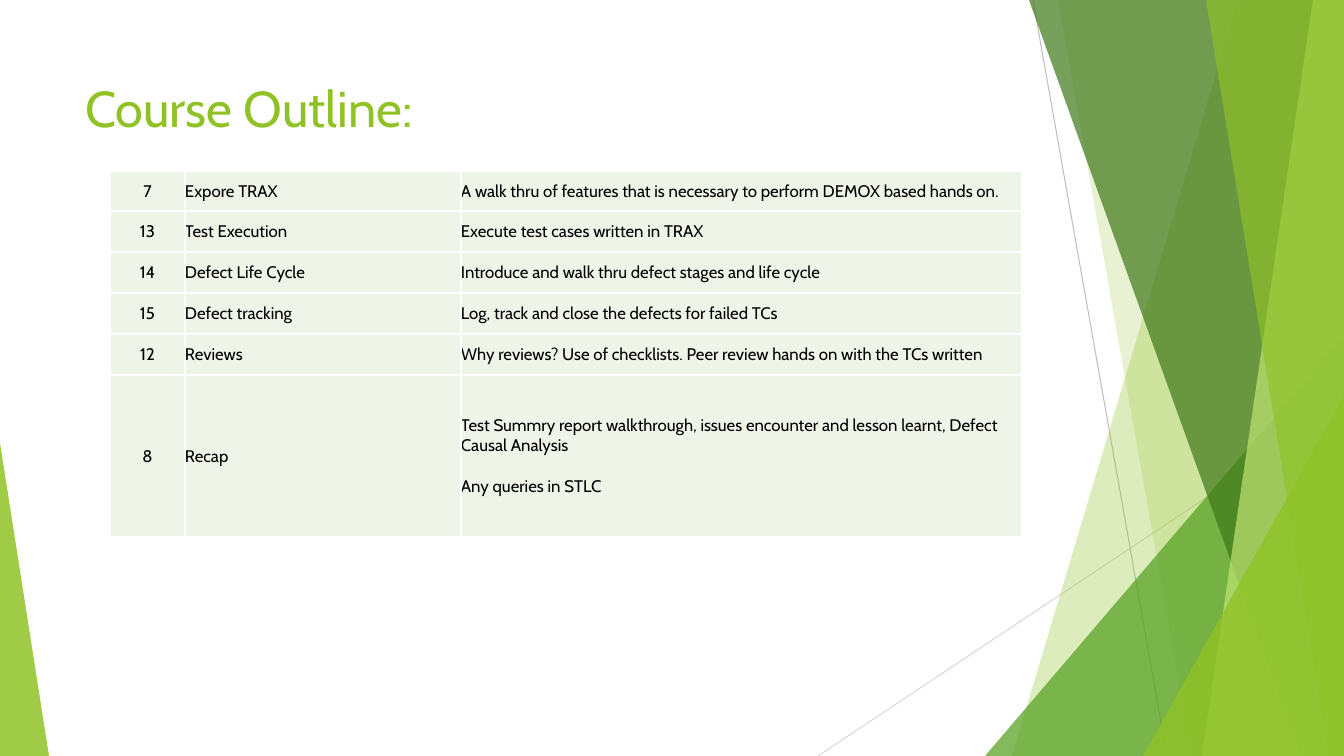
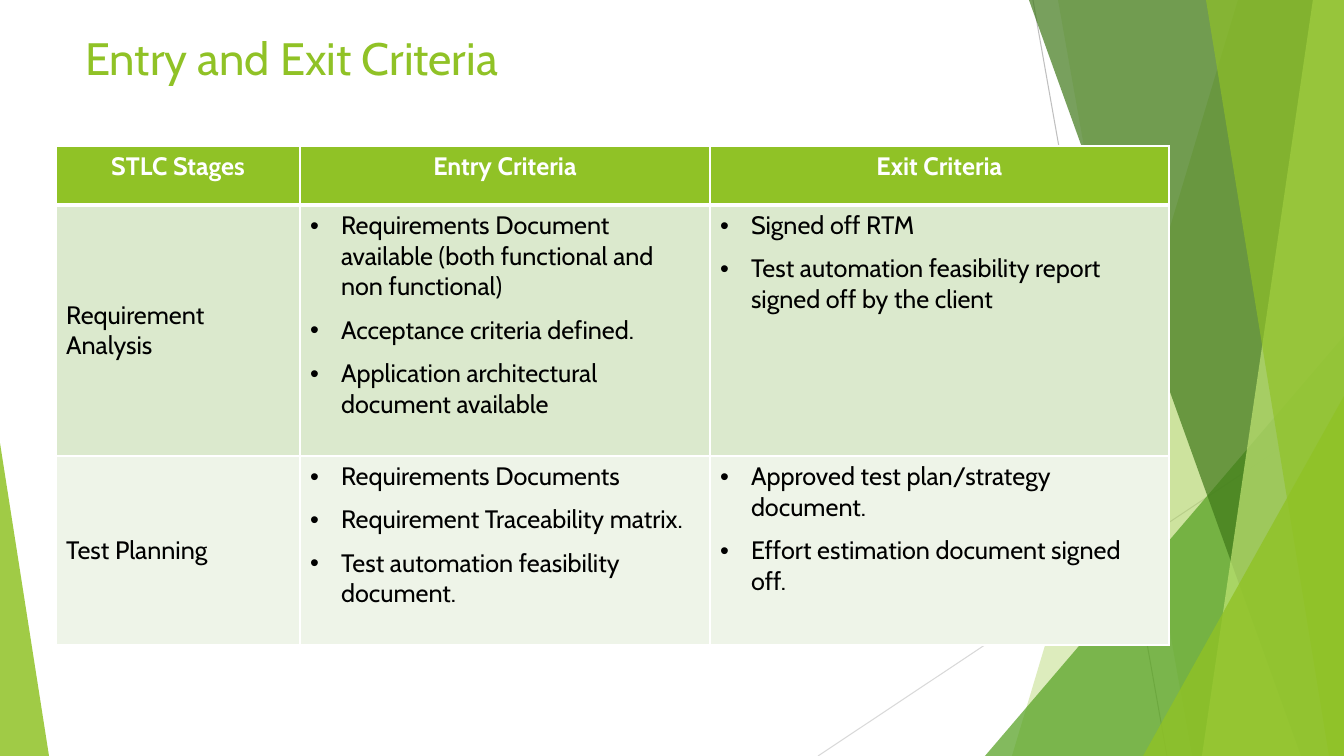
from lxml import etree
from pptx import Presentation
from pptx.dml.color import RGBColor
from pptx.enum.shapes import MSO_CONNECTOR, MSO_SHAPE
from pptx.enum.text import MSO_ANCHOR, MSO_AUTO_SIZE, PP_ALIGN
from pptx.oxml.ns import qn
from pptx.util import Pt

STRAIGHT = MSO_CONNECTOR.STRAIGHT
TRIANGLE = MSO_SHAPE.ISOSCELES_TRIANGLE
LEFT, CENTER = PP_ALIGN.LEFT, PP_ALIGN.CENTER
TOP, MIDDLE = MSO_ANCHOR.TOP, MSO_ANCHOR.MIDDLE

PAGE_WIDTH, PAGE_HEIGHT = 1344, 756
SCALE = 12192000 / PAGE_WIDTH
FONT = "Cabin"
GREEN, MID_GREEN, DARK_GREEN, LIME = "90C226", "54A021", "3F7819", "C0E474"
BAND, PALE, WHITE, BLACK = "DBE9CD", "EEF4E8", "FFFFFF", "000000"
BULLET_INDENT = 31

OUTLINE_ROWS = [
    ("7", "Expore TRAX",
     ["A walk thru of features that is necessary to perform DEMOX based hands on."]),
    ("13", "Test Execution", ["Execute test cases written in TRAX"]),
    ("14", "Defect Life Cycle", ["Introduce and walk thru defect stages and life cycle"]),
    ("15", "Defect tracking", ["Log, track and close the defects for failed TCs"]),
    ("12", "Reviews",
     ["Why reviews? Use of checklists. Peer review hands on with the TCs written"]),
    ("8", "Recap",
     ["Test Summry report walkthrough, issues encounter and lesson learnt, "
      "Defect Causal Analysis",
      "Any queries in STLC"]),
]
CRITERIA_HEADER = ["STLC Stages", "Entry Criteria", "Exit Criteria"]
CRITERIA_ROWS = [
    ("Requirement Analysis",
     ["Requirements Document available (both functional and non functional)",
      "Acceptance criteria defined.",
      "Application architectural document available"],
     ["Signed off RTM",
      "Test automation feasibility report signed off by the client"]),
    ("Test Planning",
     ["Requirements Documents",
      "Requirement Traceability matrix.",
      "Test automation feasibility document."],
     ["Approved test plan/strategy document.",
      "Effort estimation document signed off."]),
]


def px(length):
    return round(length * SCALE)


def color(hex_text):
    return RGBColor.from_string(hex_text)


def add_span(para, text, size, ink, bold=False):
    span = para.add_run()
    span.text = text
    span.font.name = FONT
    span.font.size = Pt(size)
    span.font.bold = bold
    span.font.color.rgb = color(ink)


# Backdrop: defined once, kept on the layout
def paint(shape, ink, opacity):
    shape.shadow.inherit = False
    shape.line.fill.background()
    shape.fill.solid()
    shape.fill.fore_color.rgb = color(ink)
    tint = shape.element.spPr.find(".//" + qn("a:srgbClr"))
    etree.SubElement(tint, qn("a:alpha"), val=str(opacity * 1000))
    return shape


def add_thin_line(page, start, end, ink):
    line = page.shapes.add_connector(STRAIGHT, *map(px, start + end))
    line.line.color.rgb = color(ink)
    line.line.width = Pt(0.75)
    etree.SubElement(line.element.spPr, qn("a:effectLst"))
    return line


def add_blade(page, top_x, bottom_x, ink, opacity):
    """Slanted left edge; the other edges follow the page."""
    builder = page.shapes.build_freeform(top_x, 0, scale=SCALE)
    builder.add_line_segments([(PAGE_WIDTH, 0), (PAGE_WIDTH, PAGE_HEIGHT),
                               (bottom_x, PAGE_HEIGHT)])
    return paint(builder.convert_to_shape(), ink, opacity)


def add_corner(page, left, top, width, apex, ink, opacity):
    """Triangle standing on the bottom edge of the page."""
    corner = page.shapes.add_shape(
        TRIANGLE, px(left), px(top), px(width), px(PAGE_HEIGHT - top))
    corner.adjustments[0] = apex
    return paint(corner, ink, opacity)


def move_backdrop_to_layout(page, layout):
    parts = [
        add_thin_line(page, (1033, 0), (1167, PAGE_HEIGHT), "BFBFBF"),
        add_thin_line(page, (PAGE_WIDTH, 406), (818, PAGE_HEIGHT), "D9D9D9"),
        add_blade(page, 1238, 1012, GREEN, 30),
        add_blade(page, 1058, 1192, GREEN, 20),
        add_corner(page, 985, 336, 359, 1, MID_GREEN, 72),
        add_blade(page, 1029, 1301, DARK_GREEN, 70),
        add_blade(page, 1313, 1202, LIME, 70),
        add_blade(page, 1206, 1329, GREEN, 65),
        add_corner(page, 1143, 396, 201, 1, GREEN, 80),
        add_corner(page, 0, 443, 49, 0, GREEN, 85),
    ]
    for number, part in enumerate(parts, start=100):
        part.element.find(".//" + qn("p:cNvPr")).set("id", str(number))
        layout.element.cSld.spTree.append(part.element)


# Title
def set_title(page, text, top, height, size):
    title = page.shapes.title
    title.left, title.top = px(75), px(top)
    title.width, title.height = px(948), px(height)
    frame = title.text_frame
    frame.word_wrap = True
    frame.auto_size = MSO_AUTO_SIZE.NONE
    frame.vertical_anchor = MIDDLE
    para = frame.paragraphs[0]
    para.alignment = LEFT
    add_span(para, text, size, GREEN)


# Tables
def add_grid(page, left, top, widths, heights):
    grid = page.shapes.add_table(
        len(heights), len(widths), px(left), px(top),
        px(sum(widths)), px(sum(heights))).table
    grid.first_row = grid.horz_banding = False
    for column, width in zip(grid.columns, widths):
        column.width = px(width)
    for row, height in zip(grid.rows, heights):
        row.height = px(height)
    return grid


def style_cell(cell, fill, anchor, top_border=1, bottom_border=1):
    cell.vertical_anchor = anchor
    properties = cell._tc.get_or_add_tcPr()
    borders = {"L": 1, "R": 1, "T": top_border, "B": bottom_border}
    for side, points in borders.items():
        border = etree.SubElement(properties, qn("a:ln" + side), w=str(Pt(points)))
        solid = etree.SubElement(border, qn("a:solidFill"))
        etree.SubElement(solid, qn("a:srgbClr"), val=WHITE)
    cell.fill.solid()
    cell.fill.fore_color.rgb = color(fill)


def fill_cell(cell, texts, size, ink=BLACK, align=LEFT, bold=False):
    """Write one paragraph per text and return the paragraphs."""
    frame = cell.text_frame
    paras = [frame.paragraphs[0]] + [frame.add_paragraph() for _ in texts[1:]]
    for para, text in zip(paras, texts):
        para.alignment = align
        add_span(para, text, size, ink, bold)
    return paras


def add_bullet(para):
    para.space_before = Pt(9)
    properties = para._p.get_or_add_pPr()
    properties.set("marL", str(px(BULLET_INDENT)))
    properties.set("indent", str(-px(BULLET_INDENT)))
    etree.SubElement(properties, qn("a:buFont"), typeface="Arial")
    etree.SubElement(properties, qn("a:buChar"), char="•")


def add_outline_table(page, left, top):
    grid = add_grid(page, left, top, [75, 276, 561], [40, 41, 41, 41, 41, 162])
    for row, (number, topic, details) in zip(grid.rows, OUTLINE_ROWS):
        for cell in row.cells:
            style_cell(cell, PALE, MIDDLE)
            cell.margin_left = cell.margin_right = 0
            cell.margin_top = cell.margin_bottom = 0
        number_cell, topic_cell, detail_cell = row.cells
        fill_cell(number_cell, [number], 12, align=CENTER)
        fill_cell(topic_cell, [topic], 12)
        for para in fill_cell(detail_cell, details, 12)[1:]:
            para.space_before = Pt(14.5)


def add_criteria_table(page, left, top):
    grid = add_grid(page, left, top, [244, 410, 459], [59, 251, 189])
    for column, heading in enumerate(CRITERIA_HEADER):
        cell = grid.cell(0, column)
        style_cell(cell, GREEN, TOP, bottom_border=3)
        fill_cell(cell, [heading], 18, WHITE, CENTER, bold=True)
    for index, (stage, *criteria) in enumerate(CRITERIA_ROWS, start=1):
        fill = BAND if index % 2 else PALE
        top_border = 3 if index == 1 else 1
        stage_cell = grid.cell(index, 0)
        style_cell(stage_cell, fill, MIDDLE, top_border)
        fill_cell(stage_cell, [stage], 18)
        for column, items in enumerate(criteria, start=1):
            cell = grid.cell(index, column)
            style_cell(cell, fill, TOP, top_border)
            for para in fill_cell(cell, items, 18):
                add_bullet(para)


def main():
    deck = Presentation()
    deck.slide_width, deck.slide_height = px(PAGE_WIDTH), px(PAGE_HEIGHT)
    layout = deck.slide_layouts.get_by_name("Title Only")

    outline = deck.slides.add_slide(layout)
    move_backdrop_to_layout(outline, layout)
    set_title(outline, "Course Outline:", 68, 79, 36)
    add_outline_table(outline, 110, 171)

    criteria = deck.slides.add_slide(layout)
    set_title(criteria, "Entry and Exit Criteria", 24, 67, 32.4)
    add_criteria_table(criteria, 56, 146)

    deck.save("out.pptx")


if __name__ == "__main__":
    main()
